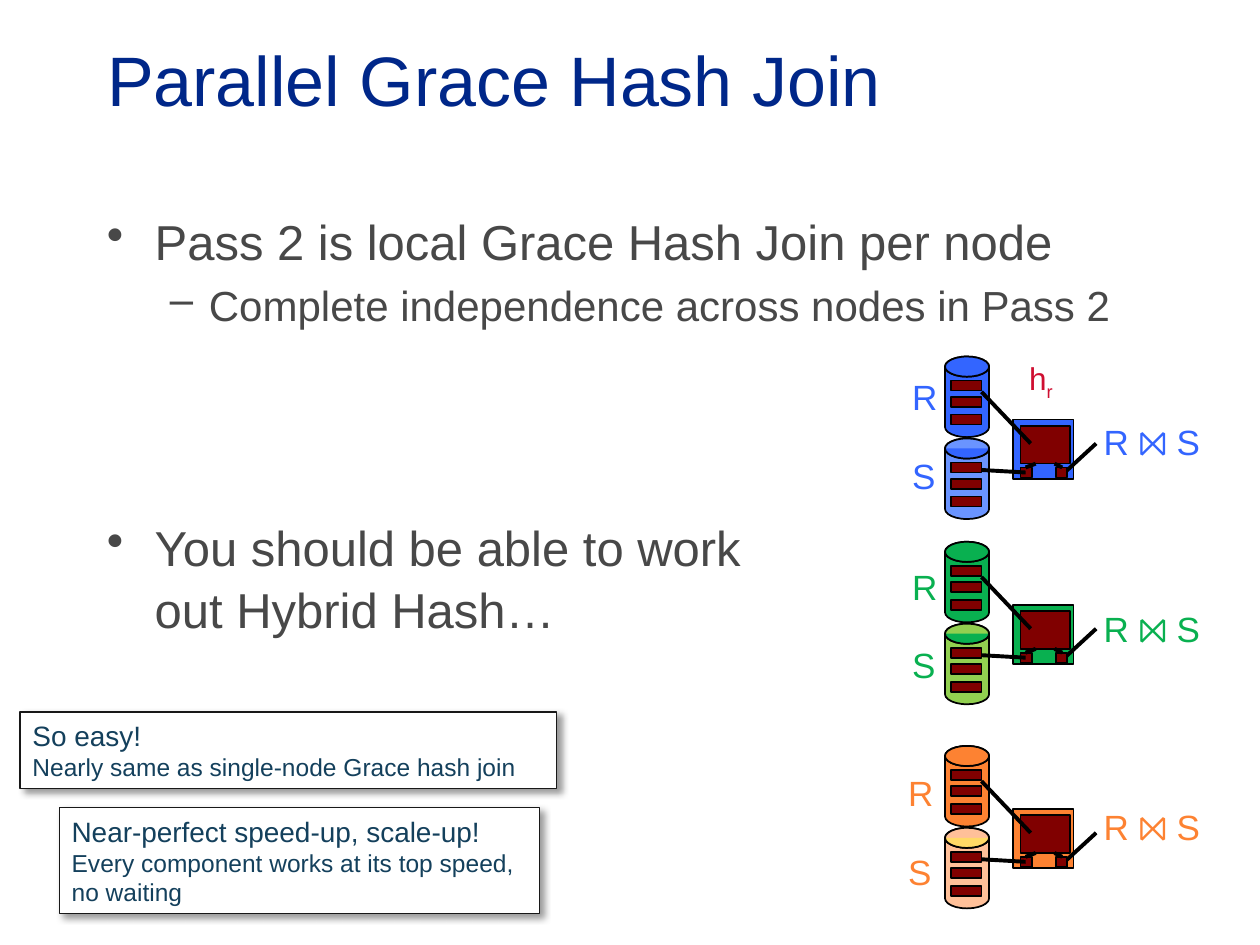
from lxml import etree
from pptx import Presentation
from pptx.dml.color import RGBColor
from pptx.enum import shapes, text
from pptx.oxml import ns
from pptx.util import Inches, Pt

FONT = "Arial"
COLORS = {
    "title": "002789", "body": "484848", "note": "14405C", "hash": "CF0E30",
    "black": "000000", "white": "FFFFFF", "border": "181818", "page": "800000",
    "blue": "3365FF", "light blue": "6A94FF",
    "green": "09B050", "light green": "92D050",
    "orange": "FD8232", "light orange": "FFC099", "yellow": "FFD966",
}
SHAPE = shapes.MSO_SHAPE


def rgb(name):
    return RGBColor.from_string(COLORS[name])


def style_text(para, size, color):
    para.font.name = FONT
    para.font.size = Pt(size)
    para.font.color.rgb = rgb(color)


def add_part(parent, kind, left, top, width, height, fill=None, line="black", weight=1):
    part = parent.add_shape(kind, Inches(left), Inches(top), Inches(width), Inches(height))
    part.shadow.inherit = False
    if fill:
        part.fill.solid()
        part.fill.fore_color.rgb = rgb(fill)
    else:
        part.fill.background()
    if line:
        part.line.color.rgb = rgb(line)
        part.line.width = Pt(weight)
    else:
        part.line.fill.background()
    return part


def add_link(parent, x1, y1, x2, y2):
    link = parent.add_connector(shapes.MSO_CONNECTOR.STRAIGHT,
                                Inches(x1), Inches(y1), Inches(x2), Inches(y2))
    link.line.color.rgb = rgb("black")
    link.line.width = Pt(2.25)
    etree.SubElement(link._element.spPr, ns.qn("a:effectLst"))


def add_label(page, left, top, width, height, words, size, color):
    box = page.shapes.add_textbox(Inches(left), Inches(top), Inches(width), Inches(height))
    box.text_frame.word_wrap = False
    para = box.text_frame.paragraphs[0]
    para.text = words
    style_text(para, size, color)
    return para


def add_title(page, left, top, width, height):
    title = page.shapes.title
    title.left, title.top = Inches(left), Inches(top)
    title.width, title.height = Inches(width), Inches(height)
    title.text_frame.vertical_anchor = text.MSO_ANCHOR.MIDDLE
    para = title.text_frame.paragraphs[0]
    para.text = "Parallel Grace Hash Join"
    para.alignment = text.PP_ALIGN.LEFT
    style_text(para, 40, "title")


def add_bullets(page, left, top, width, height):
    box = page.shapes.add_textbox(Inches(left), Inches(top), Inches(width), Inches(height))
    frame = box.text_frame
    frame.word_wrap = True
    bullets = [
        # words, level, size, bullet, margin, hanging, space before, line spacing
        ("Pass 2 is local Grace Hash Join per node", 0, 28, "•", 0.38, 0.38, 0, 1),
        ("Complete independence across nodes in Pass 2", 1, 24, "–", 0.81, 0.31, 5, 1),
        ("You should be able to work\vout Hybrid Hash…", 0, 28, "•", 0.38, 0.38, 106, 1.05),
    ]
    for index, (words, level, size, mark, margin, hanging, before, spacing) in enumerate(bullets):
        para = frame.add_paragraph() if index else frame.paragraphs[0]
        para.text = words
        para.level = level
        para.line_spacing = spacing
        para.space_before = Pt(before)
        props = para._p.get_or_add_pPr()
        props.set("marL", str(Inches(margin)))
        props.set("indent", str(-Inches(hanging)))
        etree.SubElement(props, ns.qn("a:buChar"), char=mark)
        style_text(para, size, "body")


def add_disk(parent, left, top, body, lid):
    """A cylinder whose lid has its front half in the lid colour, holding three pages."""
    width, height, lid_height = 0.35, 0.64, 0.16
    can = add_part(parent, SHAPE.CAN, left, top, width, height, body)
    can.adjustments[0] = lid_height / width
    add_part(parent, SHAPE.OVAL, left, top, width, lid_height, body, None)
    front = add_part(parent, SHAPE.CHORD, left, top, width, lid_height, lid, None)
    front.adjustments[0], front.adjustments[1] = 0, 108  # 0 to 180 degrees
    add_part(parent, SHAPE.OVAL, left, top, width, lid_height)
    for offset in (0.19, 0.32, 0.46):
        add_part(parent, SHAPE.RECTANGLE, left + 0.05, top + offset, 0.24, 0.08, "page")


def add_memory(parent, left, top, color):
    add_part(parent, SHAPE.RECTANGLE, left, top, 0.48, 0.47, color)
    add_part(parent, SHAPE.RECTANGLE, left + 0.06, top + 0.05, 0.39, 0.3, "page")
    add_link(parent, left + 0.66, top + 0.19, left + 0.41, top + 0.42)
    for offset in (0.06, 0.34):
        add_part(parent, SHAPE.RECTANGLE, left + offset, top + 0.38, 0.09, 0.08, "page")
    for start, end in ((0.1, 0.18), (0.39, 0.33)):
        add_link(parent, left + start, top + 0.38, left + end, top + 0.35)


def add_node(page, left, top, color, light, lid, label_left, r_top, s_top, join_top):
    """One machine: disks R and S, its memory and the join that comes out."""
    group = page.shapes.add_group_shape().shapes
    add_memory(group, left + 0.54, top + 0.5, color)
    add_disk(group, left, top + 0.65, light, lid)
    add_disk(group, left, top, color, color)
    add_link(group, left + 0.29, top + 0.28, left + 0.68, top + 0.69)
    add_link(group, left + 0.29, top + 0.9, left + 0.64, top + 0.92)
    for words, x, y, width in (("R", label_left, r_top, 0.39), ("S", label_left, s_top, 0.39),
                               ("R ⨝ S", 1.16, join_top, 1.02)):
        add_label(page, left + x, top + y, width, 0.44, words, 20, color)


def add_hash_label(page, left, top):
    para = add_label(page, left, top, 0.4, 0.4, "h", 18, "hash")
    subscript = para.add_run()
    subscript.text = "r"
    subscript.font._element.set("baseline", "-25000")


def add_note(page, left, top, width, height, heading, detail):
    note = add_part(page.shapes, SHAPE.RECTANGLE, left, top, width, height,
                    "white", "border", 0.75)
    effects = note._element.spPr.find(ns.qn("a:effectLst"))
    shadow = etree.SubElement(effects, ns.qn("a:outerShdw"), blurRad=str(Pt(4)),
                              dist=str(Pt(3)), dir="2700000", algn="tl", rotWithShape="0")
    shade = etree.SubElement(shadow, ns.qn("a:srgbClr"), val=COLORS["black"])
    etree.SubElement(shade, ns.qn("a:alpha"), val="40000")
    frame = note.text_frame
    frame.word_wrap = True
    frame.vertical_anchor = text.MSO_ANCHOR.MIDDLE
    for para, words, size in ((frame.paragraphs[0], heading, 16),
                              (frame.add_paragraph(), detail, 14)):
        para.text = words
        para.alignment = text.PP_ALIGN.LEFT
        style_text(para, size, "note")


def main():
    deck = Presentation()
    deck.slide_width, deck.slide_height = Inches(10), Inches(7.5)
    page = deck.slides.add_slide(deck.slide_layouts[5])
    add_title(page, 0.75, 0, 8.5, 1.25)
    add_bullets(page, 0.75, 1.63, 8.5, 5.53)
    nodes = [
        (2.83, "blue", "light blue", "blue", -0.36, 0.1, 0.73, 0.46),
        (4.3, "green", "light green", "green", -0.36, 0.14, 0.76, 0.47),
        (5.92, "orange", "light orange", "yellow", -0.39, 0.15, 0.78, 0.42),
    ]
    for node in nodes:
        add_node(page, 7.5, *node)
    add_hash_label(page, 8.07, 2.8)
    add_note(page, 0.47, 6.41, 3.81, 0.84, "Near-perfect speed-up, scale-up!",
             "Every component works at its top speed, no waiting")
    add_note(page, 0.16, 5.65, 4.26, 0.61, "So easy!",
             "Nearly same as single-node Grace hash join")
    deck.save("out.pptx")


if __name__ == "__main__":
    main()
